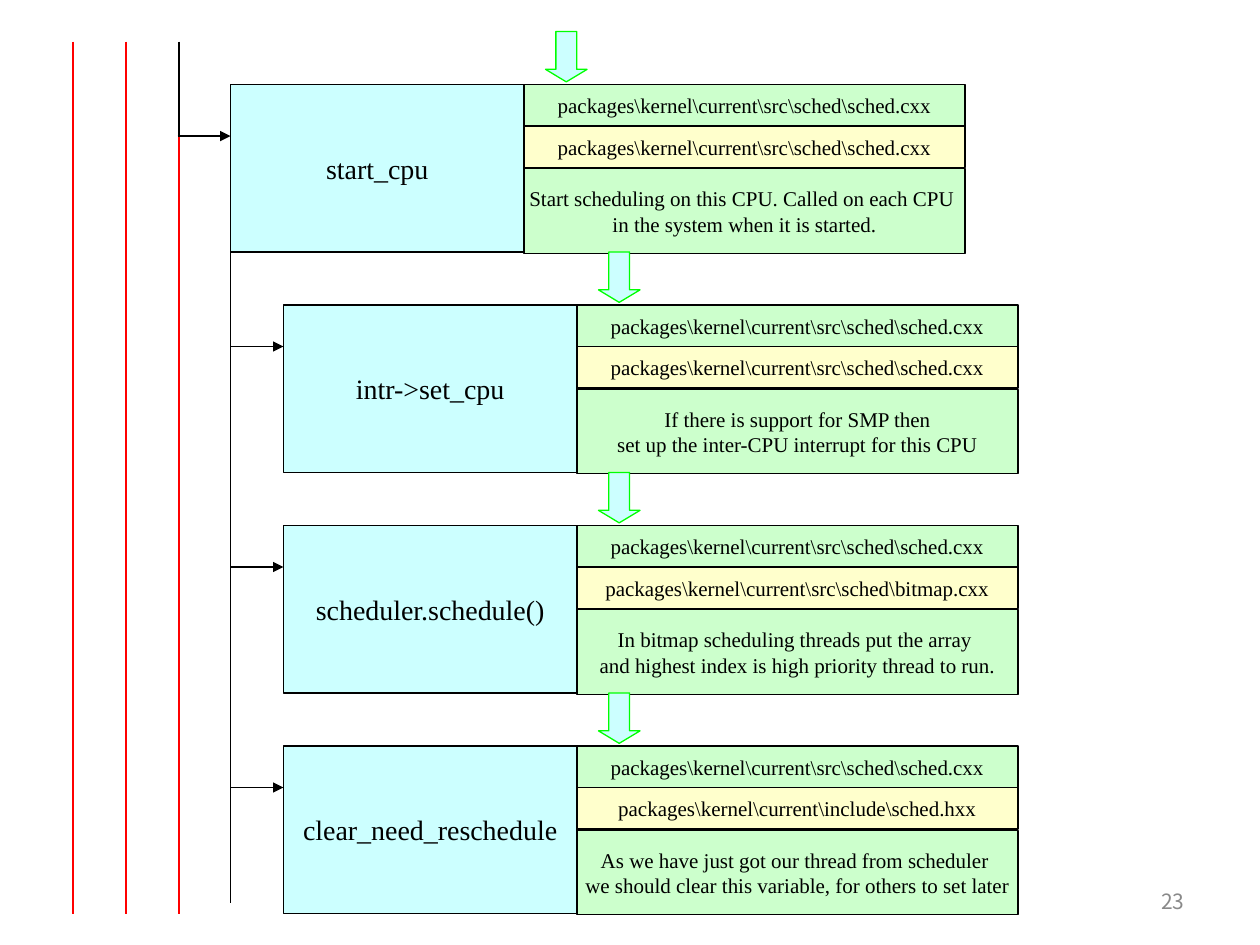
from lxml import etree
from pptx import Presentation
from pptx.dml.color import RGBColor
from pptx.enum import shapes, text
from pptx.oxml import ns
from pptx.util import Inches, Pt

COLORS = {
    "black": "000000", "red": "FF0000", "lime": "00FF00", "gray": "898989",
    "cyan": "CCFFFF", "green": "CCFFCC", "yellow": "FFFFCC",
}
SCHED = r"packages\kernel\current\src\sched\sched.cxx"

# Each call: name, declaring file, defining file, description lines
CALLS = [
    ("start_cpu", SCHED, SCHED,
     ["Start scheduling on this CPU. Called on each CPU ",
      "in the system when it is started."]),
    ("intr->set_cpu", SCHED, SCHED,
     ["If there is support for SMP then",
      "set up the inter-CPU interrupt for this CPU"]),
    ("scheduler.schedule()", SCHED, r"packages\kernel\current\src\sched\bitmap.cxx",
     ["In bitmap scheduling threads put the array ",
      "and highest index is high priority thread to run."]),
    ("clear_need_reschedule", SCHED, r"packages\kernel\current\include\sched.hxx",
     ["As we have just got our thread from scheduler ",
      "we should clear this variable, for others to set later"]),
]

presentation = Presentation()
presentation.slide_width, presentation.slide_height = Inches(10), Inches(7.5)
slide = presentation.slides.add_slide(presentation.slide_layouts[6])


def add_line(x1, y1, x2, y2, color, arrowhead=False):
    line = slide.shapes.add_connector(
        shapes.MSO_CONNECTOR.STRAIGHT, Inches(x1), Inches(y1), Inches(x2), Inches(y2))
    line.line.color.rgb = RGBColor.from_string(COLORS[color])
    line.line.width = Pt(0.75)
    if arrowhead:
        etree.SubElement(line.line._get_or_add_ln(), ns.qn("a:tailEnd"), type="triangle")
    etree.SubElement(line._element.spPr, ns.qn("a:effectLst"))


def add_block(group, kind, left, top, width, height, fill, outline="black", lines=(), size=12):
    shape = group.shapes.add_shape(
        kind, Inches(left), Inches(top), Inches(width), Inches(height))
    shape.shadow.inherit = False
    shape.fill.solid()
    shape.fill.fore_color.rgb = RGBColor.from_string(COLORS[fill])
    shape.line.color.rgb = RGBColor.from_string(COLORS[outline])
    shape.line.width = Pt(0.75)
    frame = shape.text_frame
    frame.word_wrap = False
    frame.vertical_anchor = text.MSO_ANCHOR.MIDDLE
    for index, content in enumerate(lines):
        paragraph = frame.add_paragraph() if index else frame.paragraphs[0]
        paragraph.alignment = text.PP_ALIGN.CENTER
        run = paragraph.add_run()
        run.text = content
        run.font.name = "Times New Roman"
        run.font.size = Pt(size)
        run.font.color.rgb = RGBColor.from_string(COLORS["black"])
    return shape


# Nesting lines of the outer calls
for x, top in [(0.58, 0.33), (1, 0.33), (1.42, 1.08)]:
    add_line(x, top, x, 7.25, "red")
add_line(1.42, 0.33, 1.42, 1.08, "black")
add_line(1.83, 2, 1.83, 7.17, "black")

# Call blocks, the first one a level further out
for index, (name, declared, defined, description) in enumerate(CALLS):
    left = 2.25 if index else 1.83
    top = 0.67 + 1.75 * index
    files_left = left + 2.33
    group = slide.shapes.add_group_shape()
    rectangle = shapes.MSO_SHAPE.RECTANGLE
    add_block(group, rectangle, left, top, 2.33, 1.33, "cyan", lines=[name], size=16)
    add_block(group, rectangle, files_left, top + 0.67, 3.5, 0.67, "green", lines=description)
    add_block(group, rectangle, files_left, top, 3.5, 0.33, "green", lines=[declared])
    add_block(group, rectangle, files_left, top + 0.33, 3.5, 0.33, "yellow", lines=[defined])
    arrow = add_block(group, shapes.MSO_SHAPE.DOWN_ARROW, left + 2.5, top - 0.42,
                      0.33, 0.4, "cyan", outline="lime")
    arrow.adjustments[0], arrow.adjustments[1] = 0.5, 0.3

    # Branch into the block
    branch_y = top + (0.33 if index else 0.41)
    add_line(left - 0.42, branch_y, left, branch_y, "black", arrowhead=True)

# Slide number
number = slide.shapes.add_textbox(Inches(7.17), Inches(6.95), Inches(2.33), Inches(0.4))
number.text_frame.word_wrap = True
number.text_frame.vertical_anchor = text.MSO_ANCHOR.MIDDLE
paragraph = number.text_frame.paragraphs[0]
paragraph.alignment = text.PP_ALIGN.RIGHT
run = paragraph.add_run()
run.text = "23"
run.font.name = "Noto Sans CJK KR"
run.font.size = Pt(12)
run.font.color.rgb = RGBColor.from_string(COLORS["gray"])

presentation.save("out.pptx")
